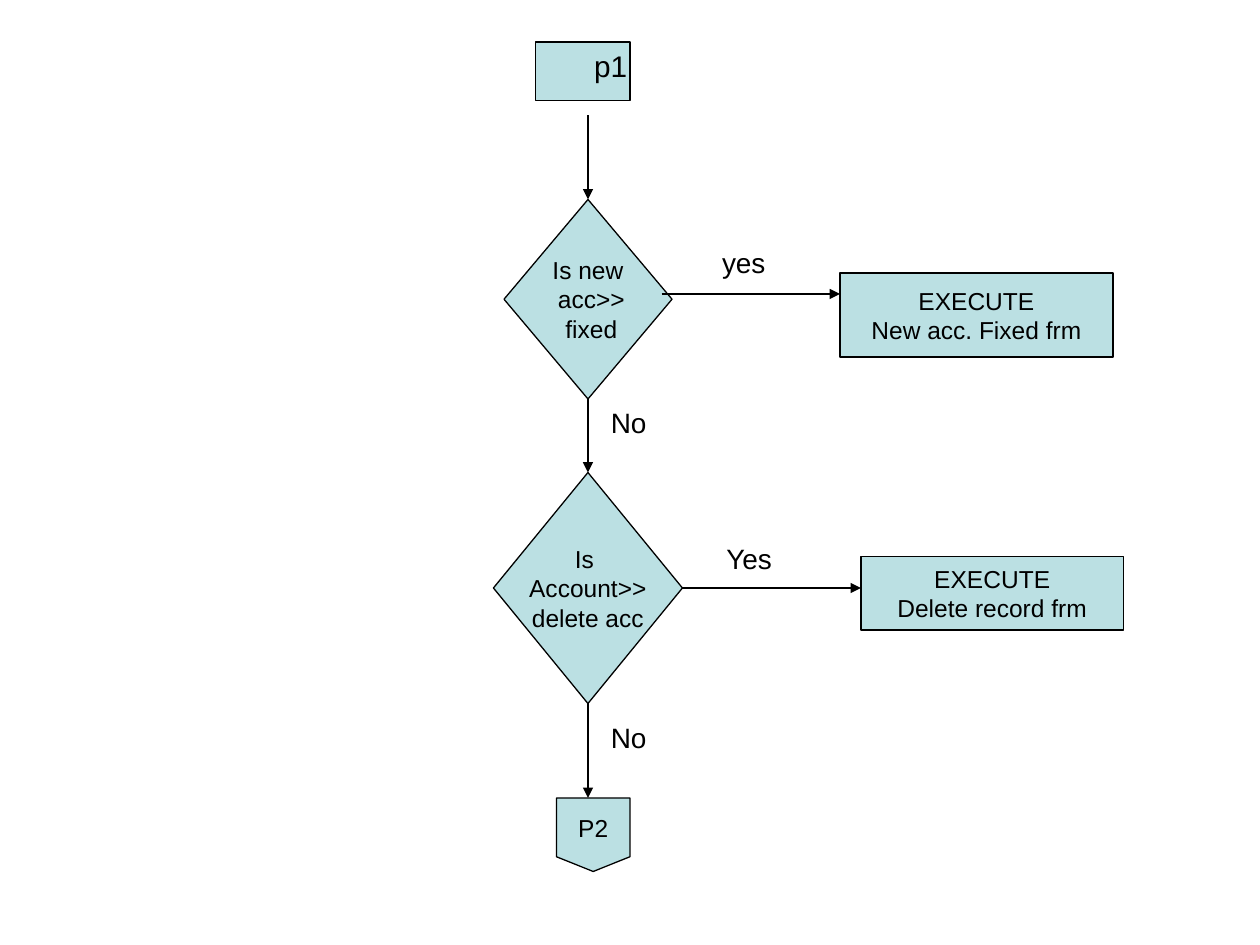
from lxml import etree
from pptx import Presentation
from pptx.dml import color
from pptx.enum import shapes, text
from pptx.oxml import ns
from pptx.util import Pt

FONT = "Arial"
BLACK = "000000"
PALE_TEAL = "BBE0E3"
AXIS = 336
TOP, RIGHT, BOTTOM = 0, 3, 2


def rgb(value):
    return color.RGBColor.from_string(value)


def set_text(shape, words, size, align, wrap=False):
    frame = shape.text_frame
    frame.text = words
    frame.word_wrap = wrap
    for para in frame.paragraphs:
        para.alignment = align
        for span in para.runs:
            span.font.name = FONT
            span.font.size = Pt(size)
            span.font.color.rgb = rgb(BLACK)


def add_node(page, kind, left, top, width, height, words,
             size=14, align=text.PP_ALIGN.CENTER):
    node = page.shapes.add_shape(kind, Pt(left), Pt(top), Pt(width), Pt(height))
    node.shadow.inherit = False
    node.fill.solid()
    node.fill.fore_color.rgb = rgb(PALE_TEAL)
    node.line.color.rgb = rgb(BLACK)
    node.line.width = Pt(0.75)
    set_text(node, words, size, align)
    node.text_frame.vertical_anchor = text.MSO_ANCHOR.MIDDLE
    return node


def add_start(page, words):
    start = add_node(page, shapes.MSO_SHAPE.RECTANGLE, 306, 24, 54, 33.5,
                     words, 17, text.PP_ALIGN.RIGHT)
    frame = start.text_frame
    frame.word_wrap = True
    frame.vertical_anchor = text.MSO_ANCHOR.TOP
    frame.margin_left = Pt(0)
    frame.margin_right = Pt(1.5)


def add_label(page, left, top, width, words):
    box = page.shapes.add_textbox(Pt(left), Pt(top), Pt(width), Pt(26.6))
    set_text(box, words, 16, text.PP_ALIGN.LEFT, wrap=True)


def add_arrow(page, x1, y1, x2, y2, source=None, target=None):
    arrow = page.shapes.add_connector(
        shapes.MSO_CONNECTOR.STRAIGHT, Pt(x1), Pt(y1), Pt(x2), Pt(y2))
    if source:
        arrow.begin_connect(*source)
    if target:
        arrow.end_connect(*target)
    arrow.line.color.rgb = rgb(BLACK)
    arrow.line.width = Pt(0.75)
    line = arrow.line._get_or_add_ln()
    etree.SubElement(line, ns.qn("a:tailEnd"), type="triangle")
    etree.SubElement(arrow._element.spPr, ns.qn("a:effectLst"))


def main():
    deck = Presentation()
    deck.slide_width, deck.slide_height = Pt(720), Pt(540)
    page = deck.slides.add_slide(deck.slide_layouts[6])
    kinds = shapes.MSO_SHAPE

    add_start(page, "p1")
    is_fixed = add_node(page, kinds.DIAMOND, 288, 114, 96, 114,
                        "Is new\n acc>>\n fixed")
    is_delete = add_node(page, kinds.DIAMOND, 282, 270, 108, 132,
                         "Is \nAccount>>\ndelete acc")
    add_node(page, kinds.RECTANGLE, 480, 156, 156, 48,
             "EXECUTE\nNew acc. Fixed frm")
    add_node(page, kinds.RECTANGLE, 492, 318, 150, 42,
             "EXECUTE\nDelete record frm")
    add_node(page, kinds.FLOWCHART_OFFPAGE_CONNECTOR, 318, 456, 42, 42, "P2")

    add_arrow(page, AXIS, 66, AXIS, 114, target=(is_fixed, TOP))
    add_arrow(page, AXIS, 228, AXIS, 270, (is_fixed, BOTTOM), (is_delete, TOP))
    add_arrow(page, AXIS, 402, AXIS, 456, (is_delete, BOTTOM))
    add_arrow(page, 378, 168, 480, 168)
    add_arrow(page, 390, 336, 492, 336, (is_delete, RIGHT))

    add_label(page, 405.5, 137, 54, "yes")
    add_label(page, 408, 306, 54, "Yes")
    for top in (228, 408):
        add_label(page, 342, top, 72, "No")

    deck.save("out.pptx")


if __name__ == "__main__":
    main()
